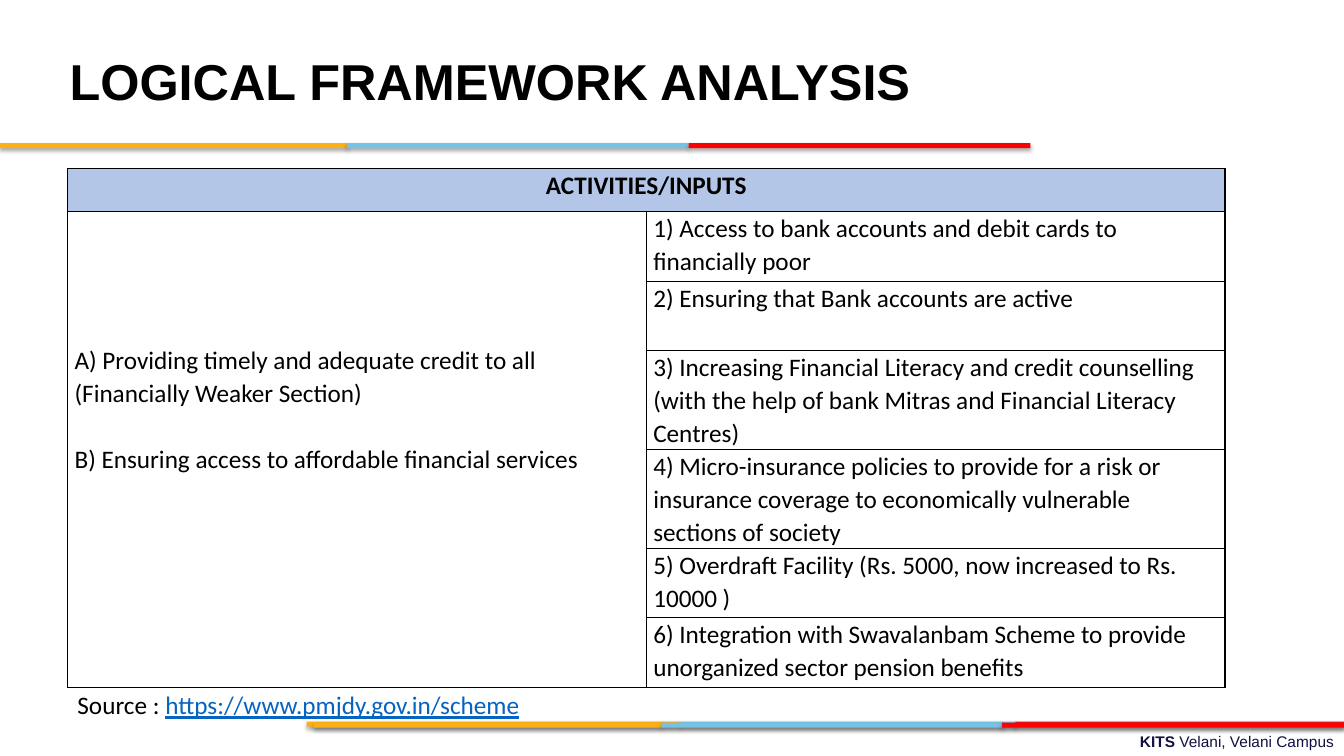
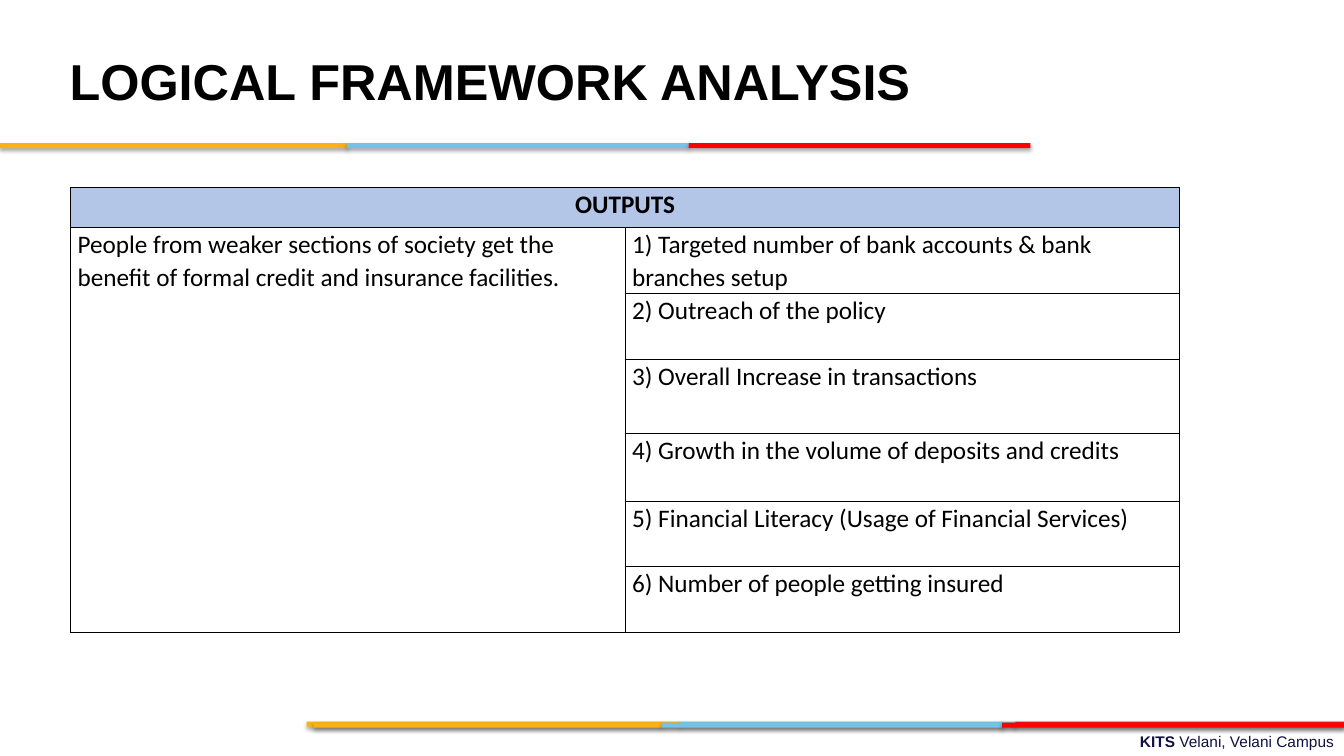
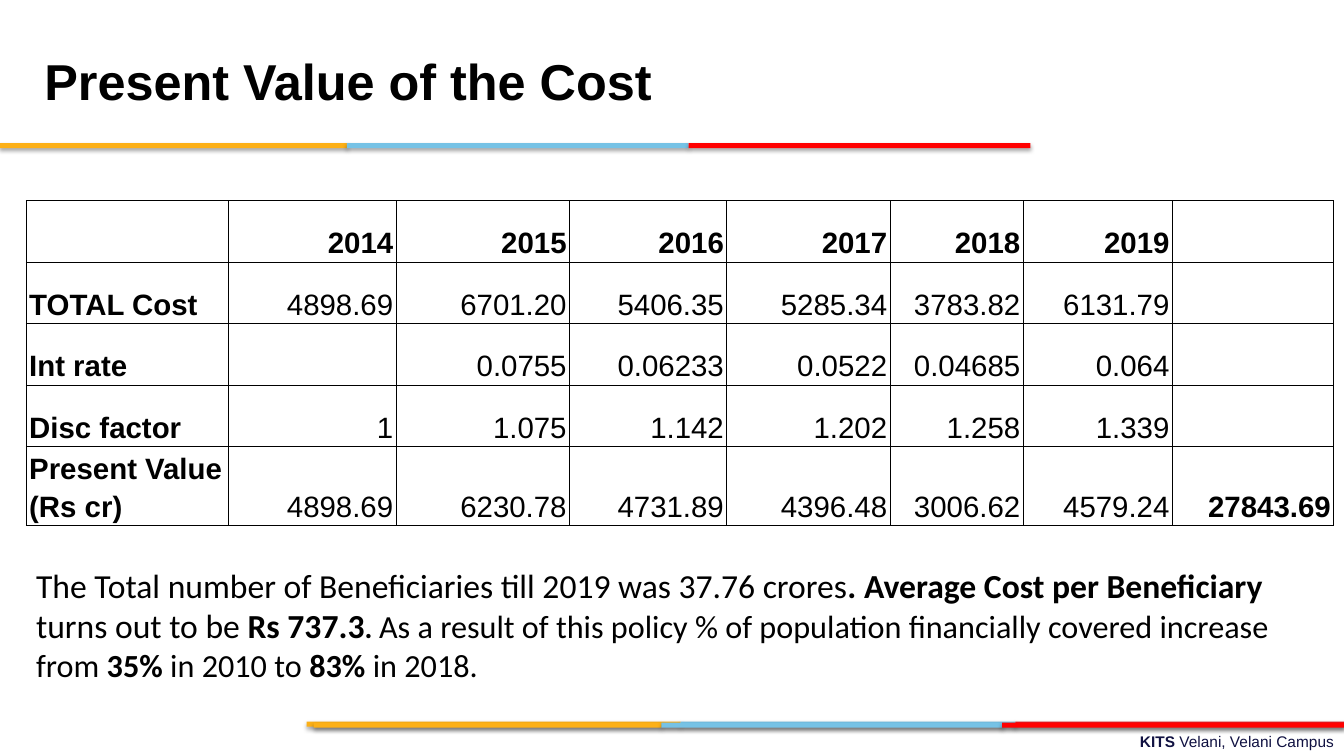
from itertools import pairwise

from lxml import etree
from pptx import Presentation
from pptx.dml.color import RGBColor
from pptx.enum.shapes import MSO_SHAPE
from pptx.enum.text import MSO_ANCHOR, PP_ALIGN
from pptx.oxml import parse_xml
from pptx.oxml.ns import nsdecls, qn
from pptx.util import Inches, Pt

RECT = MSO_SHAPE.RECTANGLE
MIDDLE, BOTTOM = MSO_ANCHOR.MIDDLE, MSO_ANCHOR.BOTTOM
LEFT, CENTER, RIGHT = PP_ALIGN.LEFT, PP_ALIGN.CENTER, PP_ALIGN.RIGHT

BLACK = RGBColor(0x00, 0x00, 0x00)
NAVY = RGBColor(0x10, 0x11, 0x41)
YELLOW = RGBColor(0xFC, 0xB0, 0x17)
SKY = RGBColor(0x76, 0xC2, 0xE5)
CRIMSON = RGBColor(0xE3, 0x1C, 0x24)
RED = RGBColor(0xFF, 0x00, 0x00)
HEADER_BLUE = RGBColor(0xB4, 0xC6, 0xE7)
LINK_BLUE = RGBColor(0x05, 0x63, 0xC1)


def write(p, runs, font, size, color=BLACK):
    for text, bold, *own_size in runs:
        r = p.add_run()
        r.text = text
        r.font.name = font
        r.font.size = Pt(own_size[0] if own_size else size)
        r.font.bold = bold
        r.font.color.rgb = color


def add_grid(s, left, top, widths, heights, side, edge, border):
    tbl = s.shapes.add_table(len(heights), len(widths), Inches(left), Inches(top),
                             Inches(sum(widths)), Inches(sum(heights))).table
    tbl.first_row = tbl.horz_banding = False
    for col, width in zip(tbl.columns, widths):
        col.width = Inches(width)
    for row, height in zip(tbl.rows, heights):
        row.height = Inches(height)
    for cell in tbl.iter_cells():
        cell.margin_left = cell.margin_right = Inches(side)
        cell.margin_top = cell.margin_bottom = Inches(edge)
        tcPr = cell._tc.get_or_add_tcPr()
        for tag in ("lnL", "lnR", "lnT", "lnB"):
            tcPr.append(parse_xml(
                f'<a:{tag} {nsdecls("a")} w="{Pt(border)}"><a:solidFill>'
                f'<a:srgbClr val="{BLACK}"/></a:solidFill></a:{tag}>'))
        cell.fill.background()
    return tbl


prs = Presentation()
prs.slide_width, prs.slide_height = Inches(13.33), Inches(7.5)

layout = prs.slide_layouts[5]
for ph in list(layout.placeholders):
    if ph.placeholder_format.idx:
        ph.element.getparent().remove(ph.element)
title = layout.placeholders[0]
title.left, title.top = Inches(0.44), Inches(0.17)
title.width, title.height = Inches(9.22), Inches(1.25)
tf = title.text_frame
tf.margin_left = tf.margin_right = tf.margin_top = tf.margin_bottom = 0
tf.vertical_anchor = MIDDLE

slides = []
for heading, indent in [("LOGICAL FRAMEWORK ANALYSIS", 0.25),
                        ("LOGICAL FRAMEWORK ANALYSIS", 0.25),
                        ("Present Value of the Cost", 0)]:
    s = prs.slides.add_slide(layout)
    tf = s.shapes.title.text_frame
    tf.margin_left = Inches(indent)
    write(tf.paragraphs[0], [(heading, True)], "Arial", 36)
    tf.paragraphs[0].alignment = LEFT
    slides.append(s)
activities, outputs, cost = slides

shared = []
footer = activities.shapes.add_textbox(Inches(4.78), Inches(7.21), Inches(8.55), Inches(0.28))
footer.text_frame.word_wrap = True
p = footer.text_frame.paragraphs[0]
p.alignment = RIGHT
write(p, [("KITS ", True), ("Velani, Velani Campus", False)], "Arial", 11, NAVY)
shared.append(footer)

for top, edges, last_color in [(7.16, (3.04, 6.75, 10.07, 13.33), CRIMSON),
                               (7.17, (3.11, 6.56, 9.94, 13.33), RED),
                               (1.42, (0, 3.44, 6.83, 10.22), RED)]:
    for (start, end), color in zip(pairwise(edges), (YELLOW, SKY, last_color)):
        bar = activities.shapes.add_shape(RECT, Inches(start), Inches(top),
                                          Inches(end - start), Inches(0.05))
        bar.fill.solid()
        bar.fill.fore_color.rgb = color
        bar.line.fill.background()
        bar.shadow.inherit = False
        shadow = etree.SubElement(bar.element.spPr.find(qn("a:effectLst")), qn("a:outerShdw"),
                                  blurRad=str(Pt(3.1)), dist=str(Pt(1.8)), dir="5400000",
                                  algn="t", rotWithShape="0")
        tint = etree.SubElement(shadow, qn("a:srgbClr"), val=str(BLACK))
        etree.SubElement(tint, qn("a:alpha"), val="35000")
        shared.append(bar)

for shape in shared:
    layout.shapes.element.append(shape.element)

frameworks = [
    (activities, 0.67, 1.67, 5.74, (0.43, 0.69, 0.69, 0.97, 0.97, 0.69, 0.69), 1.31,
     "ACTIVITIES/INPUTS",
     ["A) Providing timely and adequate credit to all (Financially Weaker Section)",
      "B) Ensuring access to affordable financial services"],
     ["1) Access to bank accounts and debit cards to financially poor",
      "2) Ensuring that Bank accounts are active",
      "3) Increasing Financial Literacy and credit counselling (with the help of bank Mitras "
      "and Financial Literacy Centres)",
      "4) Micro-insurance policies to provide for a risk or insurance coverage to economically "
      "vulnerable sections of society",
      "5) Overdraft Facility (Rs. 5000, now increased to Rs. 10000 )",
      "6) Integration with Swavalanbam Scheme to provide unorganized sector pension benefits"]),
    (outputs, 0.7, 1.86, 5.5, (0.4, 0.65, 0.65, 0.74, 0.67, 0.65, 0.65), 0,
     "OUTPUTS",
     ["People from weaker sections of society get the benefit of formal credit and "
      "insurance facilities."],
     ["1) Targeted number of bank accounts & bank branches setup",
      "2) Outreach of the policy",
      "3) Overall Increase in transactions",
      "4) Growth in the volume of deposits and credits",
      "5) Financial Literacy (Usage of Financial Services)",
      "6) Number of people getting insured"]),
]
for s, left, top, width, heights, drop, header, goals, items in frameworks:
    tbl = add_grid(s, left, top, (width, width), heights, 0.07, 0, 1)
    tbl.cell(0, 0).merge(tbl.cell(0, 1))
    tbl.cell(1, 0).merge(tbl.cell(len(items), 0))
    tbl.cell(0, 0).fill.solid()
    tbl.cell(0, 0).fill.fore_color.rgb = HEADER_BLUE
    tbl.cell(1, 0).margin_top = Inches(drop)
    entries = [(tbl.cell(0, 0), [header]), (tbl.cell(1, 0), goals)]
    entries += [(tbl.cell(i, 1), [item]) for i, item in enumerate(items, 1)]
    for cell, lines in entries:
        tf = cell.text_frame
        for i, line in enumerate(lines):
            p = tf.add_paragraph() if i else tf.paragraphs[0]
            p.line_spacing = 1.07
            p.space_before = Pt(23.5 if i else 0)
            p.alignment = CENTER if line == header else LEFT
            write(p, [(line, line == header)], "Calibri", 18)

source = activities.shapes.add_textbox(Inches(0.67), Inches(6.79), Inches(9.2), Inches(0.71))
source.text_frame.word_wrap = True
p = source.text_frame.paragraphs[0]
write(p, [("Source : ", False)], "Calibri", 18)
write(p, [("https://www.pmjdy.gov.in/scheme", False)], "Calibri", 18, LINK_BLUE)
p.runs[-1].font.underline = True

cost_rows = [
    ("", "2014", "2015", "2016", "2017", "2018", "2019", ""),
    ("TOTAL Cost", "4898.69", "6701.20", "5406.35", "5285.34", "3783.82", "6131.79", ""),
    ("Int rate", "", "0.0755", "0.06233", "0.0522", "0.04685", "0.064", ""),
    ("Disc factor", "1", "1.075", "1.142", "1.202", "1.258", "1.339", ""),
    ("Present Value (Rs cr)", "4898.69", "6230.78", "4731.89", "4396.48", "3006.62", "4579.24",
     "27843.69"),
]
tbl = add_grid(cost, 0.26, 1.99, (2.01, 1.66, 1.72, 1.56, 1.62, 1.32, 1.48, 1.6),
               (0.61, 0.61, 0.61, 0.61, 0.51), 0.03, 0.02, 0.75)
for i, values in enumerate(cost_rows):
    for j, value in enumerate(values):
        if value:
            cell = tbl.cell(i, j)
            cell.vertical_anchor = BOTTOM
            p = cell.text_frame.paragraphs[0]
            p.line_spacing = 1.15
            p.alignment = RIGHT if j else LEFT
            write(p, [(value, i == 0 or j in (0, 7))], "Arial", 21)

summary = cost.shapes.add_textbox(Inches(0.26), Inches(5.5), Inches(12.7), Inches(1.4))
tf = summary.text_frame
tf.word_wrap = True
tf.margin_top = tf.margin_bottom = Inches(0.1)
write(tf.paragraphs[0], [
    ("The Total number of Beneficiaries till 2019 was 37.76 crores", False),
    (". Average Cost per Beneficiary ", True),
    ("turns out to be ", False),
    ("Rs 737.3", True),
    (". ", True, 21),
    ("As a result of this policy % of population financially covered increase from ", False, 23),
    ("35%", True, 23),
    (" in 2010 to ", False, 23),
    ("83%", True, 23),
    (" in 2018.", False, 23),
], "Calibri", 24)

prs.save("out.pptx")
